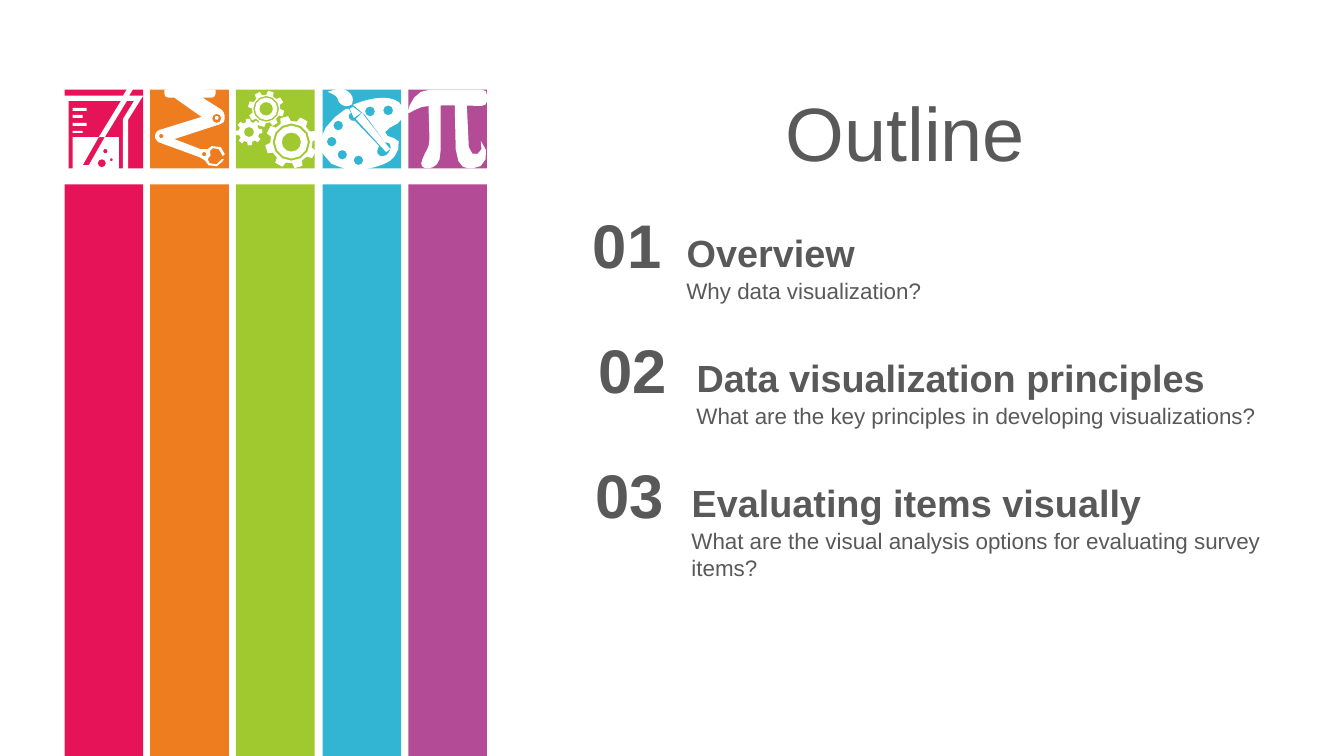
from dataclasses import dataclass
from math import cos, dist, radians, sin

from pptx import Presentation
from pptx.dml.color import RGBColor
from pptx.enum.shapes import MSO_SHAPE
from pptx.enum.text import MSO_ANCHOR, MSO_AUTO_SIZE, PP_ALIGN
from pptx.util import Pt

RECTANGLE = MSO_SHAPE.RECTANGLE
TOP, MIDDLE = MSO_ANCHOR.TOP, MSO_ANCHOR.MIDDLE
LEFT, CENTER = PP_ALIGN.LEFT, PP_ALIGN.CENTER
GROW = MSO_AUTO_SIZE.SHAPE_TO_FIT_TEXT
EMU_PER_PX = 9144
TITLE_ONLY = 5


@dataclass(frozen=True)
class Theme:
    font: str = "Arial"
    text: str = "595959"
    icon: str = "FFFFFF"
    columns: tuple = ("E61358", "ED7D1F", "A0C82F", "32B5D3", "B44B97")
    title: int = 54
    number: int = 44
    heading: int = 27
    detail: int = 16


THEME = Theme()

# Per topic: number, heading, detail, top, number width, heading left, heading width
TOPICS = [
    ("01", "Overview", "Why data visualization?", 200, 120, 669, 563),
    ("02", "Data visualization principles",
     "What are the key principles in developing visualizations?", 324, 131, 679, 617),
    ("03", "Evaluating items visually",
     "What are the visual analysis options for evaluating survey items?",
     448, 125, 674, 590),
]

# Outlines: one contour a line, L for straight runs and C for cubic curves.
# Circles: centre x, centre y, radius.
ROBOT_ARM = """
172,88 L 190,88 214,89 214,93 C 214,95 212,97 210,97 L 201,97 220,109 C 223,112 224,117 222,121 L 219,123 173,138 199,148 206,148 210,145 219,146 223,153 221,155 217,148 211,147 208,150 209,154 206,158 208,162 215,163 220,158 222,158 221,160 215,165 207,164 203,159 198,156 157,141 C 156,140 155,139 154,137 153,134 155,130 158,129 L 200,116 173,97 167,97 C 165,97 163,95 163,93 L 163,89
"""
ROBOT_JOINTS = [(202.5, 153, 2.3), (160, 135, 2.3), (215, 117, 2), (215, 117.5, 4.5)]

PALETTE = """
359,112 L 387,148 383,151 353,118
350,106 L 358,112 351,117 347,108
379,97 C 388,97 396,99 399,106 407,124 384,124 382,131 381,139 401,133 395,148 391,159 385,162 371,166 358,171 327,171 319,151 312,134 329,117 343,108 L 346,108 348,112 C 346,113 345,115 346,117 347,119 350,121 352,120 L 376,145 C 374,148 373,152 376,154 378,156 383,155 385,152 388,149 388,144 386,142 L 382,141 362,114 350,104 C 357,101 369,97 379,97
338,88 L 342,89 C 347,91 350,95 350,99 350,103 349,105 346,105 343,106 339,105 336,101 334,95 334,95 325,91 332,89 336,88 338,88
"""
PAINT_DOTS = [(355.5, 159, 4.7), (339.5, 153.5, 4.7), (329, 140.5, 4.8),
              (335.5, 124.5, 4.8), (367, 110.5, 4.9), (385, 109.5, 4.9)]

PI_BAR = """
483,94 L 483,100 C 483,103 481,105 478,105 454,105 448,104 427,105 415,104 404,115 404,112 406,102 413,89 426,89 L 478,89 C 481,89 483,91 483,94
"""
PI_LEFT_LEG = """
424,167 C 419,167 416,164 419,158 422,149 426,148 426,138 L 425,103 437,103 437,150 C 437,163 431,167 424,167
"""
PI_RIGHT_LEG = """
469,167 C 463,167 454,169 452,148 L 451,103 463,103 465,146 C 467,159 482,153 477,140 488,151 481,168 469,167
"""

BEAKER = """
72,136 L 98,136 82,164 88,164 104,136 118,136 118,169 72,169
72,130 L 82,130 82,132 72,132
72,122 L 86,122 86,125 72,125
72,114 L 82,114 82,117 72,117
72,107 L 86,107 86,110 72,110
111,100 L 68,100 68,173 122,173 122,118 133,100 126,100 104,136 98,136 120,100
136,72 L 142,72 128,95 142,95 127,119 127,178 63,178 63,95 112,95 122,95
"""
BUBBLES = [(101, 162, 4), (110.5, 158.5, 1.5), (104.5, 150, 2.3)]

# Per gear: centre x, centre y, tip radius, root radius, first tooth angle, ring radii
GEARS = [
    (289, 141, 26, 21, -106, (18.5, 16.3, 9.5)),
    (264, 108, 18, 14, 195, (12.8, 11.2, 6.7)),
    (247, 131, 13.3, 10.2, 176, (5,)),
]


def px(length):
    return round(length * EMU_PER_PX)


def rgb(code):
    return RGBColor.from_string(code)


def curve(*corners):
    """Points along a cubic curve, without its start; long curves get more."""
    span = dist(corners[0], corners[3])
    steps = 1 if span < 3 else 2 if span < 8 else 4
    points = []
    for step in range(1, steps + 1):
        t = step / steps
        weights = ((1 - t) ** 3, 3 * t * (1 - t) ** 2, 3 * t * t * (1 - t), t ** 3)
        points.append(tuple(sum(w * corner[axis] for w, corner in zip(weights, corners))
                            for axis in (0, 1)))
    return points


def trace(line):
    """Turn one outline line into a list of points."""
    points, handles, mode = [], [], "L"
    for token in line.split():
        if token in ("L", "C"):
            mode = token
            continue
        point = tuple(int(number) for number in token.split(","))
        if mode == "L":
            points.append(point)
            continue
        handles.append(point)
        if len(handles) == 3:
            points += curve(points[-1], *handles)
            handles = []
    return points


def polar(x, y, radius, angle):
    return x + radius * cos(radians(angle)), y + radius * sin(radians(angle))


def circle(x, y, radius):
    turn = 60 if radius < 3 else 45 if radius < 6 else 30
    return [polar(x, y, radius, angle) for angle in range(0, 360, turn)]


def gear(x, y, tip, root, first_angle, rings):
    """Contours of an eight-toothed wheel and the rings cut into it."""
    corners = ((root, -14), (tip, -9), (tip, 9), (root, 14))
    wheel = [polar(x, y, radius, first_angle + 45 * tooth + offset)
             for tooth in range(8) for radius, offset in corners]
    return [wheel] + [circle(x, y, ring) for ring in rings]


def drawing(outline, circles=()):
    lines = outline.strip().splitlines()
    return [trace(line) for line in lines] + [circle(*spot) for spot in circles]


def paint(shape, colour):
    shape.fill.solid()
    shape.fill.fore_color.rgb = rgb(colour)
    shape.line.fill.background()
    shape.shadow.inherit = False


def add_icon(shapes, contours):
    scaled = [[(px(x), px(y)) for x, y in contour] for contour in contours]
    builder = shapes.build_freeform(*scaled[0][0], scale=1.0)
    builder.add_line_segments(scaled[0][1:], close=True)
    for contour in scaled[1:]:
        builder.move_to(*contour[0])
        builder.add_line_segments(contour[1:], close=True)
    paint(builder.convert_to_shape(), THEME.icon)


def add_columns(shapes, top, height):
    for index, colour in enumerate(THEME.columns):
        left = round(64 + index * 85.25)
        paint(shapes.add_shape(RECTANGLE, px(left), px(top), px(78), px(height)), colour)


def write(box, text, size, bold=False, align=LEFT, anchor=TOP, inset=10):
    frame = box.text_frame
    frame.word_wrap = True
    frame.auto_size = GROW
    frame.vertical_anchor = anchor
    frame.margin_left = frame.margin_right = px(inset)
    frame.margin_top = frame.margin_bottom = px(5)
    para = frame.paragraphs[0]
    para.alignment = align
    span = para.add_run()
    span.text = text
    span.font.name, span.font.size, span.font.bold = THEME.font, Pt(size), bold
    span.font.color.rgb = rgb(THEME.text)


def add_title(page, text):
    box = page.shapes.title
    box.left, box.top, box.width, box.height = px(562), px(80), px(672), px(101)
    write(box, text, THEME.title, align=CENTER, anchor=MIDDLE)


def add_topic(page, number, heading, detail, top, number_width, left, width):
    shapes = page.shapes.add_group_shape().shapes
    box = shapes.add_textbox(px(left + 2), px(top + 70), px(width), px(37))
    write(box, detail, THEME.detail)
    box = shapes.add_textbox(px(left), px(top + 23), px(width), px(56))
    write(box, heading, THEME.heading, bold=True, inset=12)
    box = shapes.add_textbox(px(562), px(top), px(number_width), px(84))
    write(box, number, THEME.number, bold=True, align=CENTER, inset=12)


def main():
    deck = Presentation()
    deck.slide_width, deck.slide_height = px(1333), px(750)
    page = deck.slides.add_slide(deck.slide_layouts[TITLE_ONLY])
    add_title(page, "Outline")
    for topic in TOPICS:
        add_topic(page, *topic)
    tiles = page.shapes.add_group_shape().shapes
    add_columns(tiles, 89, 78)
    wheels = [contour for wheel in GEARS for contour in gear(*wheel)]
    for contours in (drawing(ROBOT_ARM, ROBOT_JOINTS), drawing(PALETTE, PAINT_DOTS),
                     drawing(PI_BAR), drawing(PI_LEFT_LEG), drawing(PI_RIGHT_LEG),
                     drawing(BEAKER, BUBBLES), wheels):
        add_icon(tiles, contours)
    add_columns(page.shapes.add_group_shape().shapes, 183, 567)
    deck.save("out.pptx")


if __name__ == "__main__":
    main()
